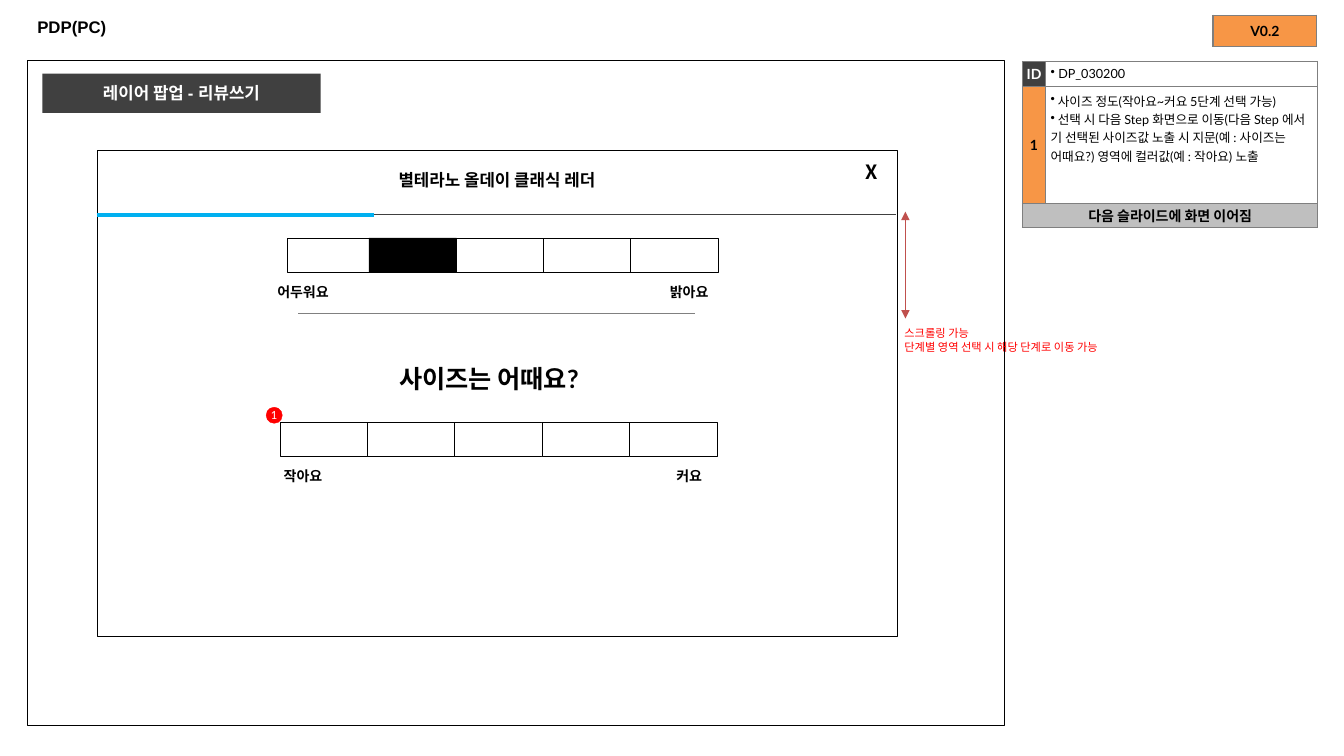
from lxml.etree import SubElement as Sub
from pptx import Presentation
from pptx.dml.color import RGBColor as RGB
from pptx.enum.shapes import MSO_CONNECTOR as Link, MSO_SHAPE as Kind
from pptx.enum.text import MSO_ANCHOR as Anchor, PP_ALIGN as Align
from pptx.oxml.ns import qn
from pptx.util import Inches, Pt

INK = {"black": "000000", "white": "FFFFFF", "dark": "404040", "gray": "808080",
       "edge": "7F7F7F", "foot": "BFBFBF", "orange": "F79646", "red": "FF0000",
       "blue": "00B0F0", "brick": "C0504D"}
KOREAN = "Noto Sans CJK KR"


def tint(name):
    """Return the named colour."""
    return RGB.from_string(INK[name])


def write(frame, *lines, size=10, face="Lato", ink="black", bold=True,
          align=Align.CENTER, bullet=False):
    """Fill a text frame with formatted paragraphs."""
    for i, line in enumerate(lines):
        para = frame.paragraphs[0] if i == 0 else frame.add_paragraph()
        para.alignment = align
        if bullet:
            props = para._p.get_or_add_pPr()
            props.set("marL", "0")
            props.set("indent", "0")
            Sub(props, qn("a:buChar"), char="•")
        run = para.add_run()
        run.text = line
        font = run.font
        font.size, font.bold, font.name = Pt(size), bold, face
        font.color.rgb = tint(ink)
        Sub(run._r.get_or_add_rPr(), qn("a:ea"), typeface=KOREAN)


def frame_up(frame, pad=None, anchor=Anchor.TOP, wrap=True):
    """Set the wrap, anchor and insets of a text frame."""
    frame.word_wrap = wrap
    frame.vertical_anchor = anchor
    if pad is not None:
        frame.margin_left = frame.margin_right = Inches(pad)
        frame.margin_top = frame.margin_bottom = Inches(pad)
    return frame


def box(slide, x, y, w, h, fill=None, line="black", width=0.25, kind=Kind.RECTANGLE):
    """Draw a shape and return its text frame."""
    shape = slide.shapes.add_shape(kind, Inches(x), Inches(y), Inches(w), Inches(h))
    shape.shadow.inherit = False
    if fill:
        shape.fill.solid()
        shape.fill.fore_color.rgb = tint(fill)
    else:
        shape.fill.background()
    if line:
        shape.line.color.rgb = tint(line)
        shape.line.width = Pt(width)
    else:
        shape.line.fill.background()
    return frame_up(shape.text_frame, 0, Anchor.MIDDLE)


def label(slide, x, y, w, h, *lines, pad=None, anchor=Anchor.TOP, wrap=True, **style):
    """Add a text box."""
    area = slide.shapes.add_textbox(Inches(x), Inches(y), Inches(w), Inches(h))
    write(frame_up(area.text_frame, pad, anchor, wrap), *lines, **style)


def rule(slide, x1, y1, x2, y2, ink, width, heads=False):
    """Draw a straight line, with arrowheads if asked."""
    link = slide.shapes.add_connector(
        Link.STRAIGHT, Inches(x1), Inches(y1), Inches(x2), Inches(y2))
    link.line.color.rgb = tint(ink)
    link.line.width = Pt(width)
    Sub(link._element.spPr, qn("a:effectLst"))
    if heads:
        for end in ("a:headEnd", "a:tailEnd"):
            Sub(link.line._get_or_add_ln(), qn(end), type="triangle")


def scale(slide, x, y, fills):
    """Draw a row of answer cells."""
    for i, fill in enumerate(fills):
        box(slide, x + i * 0.865, y, 0.87, 0.34, fill)


def grid(slide, x, y, cols, rows):
    """Add a plain table with the given column widths and row heights."""
    table = slide.shapes.add_table(
        len(rows), len(cols), Inches(x), Inches(y),
        Inches(sum(cols)), Inches(sum(rows))).table
    table.first_row = table.horz_banding = False
    for col, w in zip(table.columns, cols):
        col.width = Inches(w)
    for row, h in zip(table.rows, rows):
        row.height = Inches(h)
    for cell in table.iter_cells():
        props = cell._tc.get_or_add_tcPr()
        for side in "LRTB":
            line = Sub(props, qn(f"a:ln{side}"), w=str(Pt(1)))
            paint = Sub(line, qn("a:solidFill"))
            Sub(paint, qn("a:srgbClr"), val=INK["edge"])
        cell.fill.background()
    return table


def fill_cell(cell, *lines, fill=None, pad=0, anchor=Anchor.MIDDLE, **style):
    """Write and colour one table cell."""
    cell.margin_left = cell.margin_right = Inches(pad)
    cell.margin_top = cell.margin_bottom = Inches(pad)
    cell.vertical_anchor = anchor
    if fill:
        cell.fill.solid()
        cell.fill.fore_color.rgb = tint(fill)
    write(cell.text_frame, *lines, **style)


def notes(slide):
    """Add the description table and the version tag."""
    table = grid(slide, 10.14, 0.61, [0.23, 2.7], [0.25, 1.16, 0.24])
    body = dict(pad=0.05, anchor=Anchor.TOP, size=9, bold=False,
                align=Align.LEFT, bullet=True)
    fill_cell(table.cell(0, 0), "ID", fill="dark", ink="white")
    fill_cell(table.cell(0, 1), " DP_030200", **body)
    fill_cell(table.cell(1, 0), "1", fill="orange")
    fill_cell(table.cell(1, 1), " 사이즈 정도(작아요~커요 5단계 선택 가능)",
              " 선택 시 다음 Step 화면으로 이동(다음 Step 에서 기 선택된 사이즈값 노출 시 "
              "지문(예 : 사이즈는 어때요?) 영역에 컬러값(예 : 작아요) 노출", **body)
    table.cell(2, 0).merge(table.cell(2, 1))
    fill_cell(table.cell(2, 0), "다음 슬라이드에 화면 이어짐", fill="foot")
    tag = grid(slide, 12.03, 0.15, [1.03], [0.31])
    fill_cell(tag.cell(0, 0), "V0.2", fill="orange")


def popup(slide):
    """Draw the review pop-up inside the page frame."""
    box(slide, 0.27, 0.6, 9.69, 6.6, width=0.75)
    panel = box(slide, 0.96, 1.49, 7.94, 4.82)
    panel.vertical_anchor = Anchor.TOP
    panel.margin_top = Inches(0.19)
    write(panel, "별테라노 올데이 클래식 레더", size=12)
    label(slide, 8.49, 1.54, 0.32, 0.34, "X", wrap=False, size=14,
          face=KOREAN, align=Align.LEFT)
    rule(slide, 0.96, 2.13, 8.89, 2.13, "dark", 0.75)
    rule(slide, 0.96, 2.13, 3.71, 2.13, "blue", 3)
    rule(slide, 2.96, 3.11, 6.89, 3.11, "gray", 0.75)
    label(slide, 1.6, 3.56, 6.5, 0.5, "사이즈는 어때요?", size=18)
    box(slide, 2.85, 2.36, 0.82, 0.34)
    scale(slide, 3.66, 2.36, ["black"] + ["white"] * 3)
    scale(slide, 2.78, 4.19, ["white"] * 5)
    for y, low, high in ((2.76, "어두워요", "밝아요"), (4.59, "작아요", "커요")):
        label(slide, 2.34, y, 1.33, 0.34, low)
        label(slide, 6.17, y, 1.33, 0.34, high)
    mark = box(slide, 2.64, 4.04, 0.16, 0.16, "red", "red", kind=Kind.OVAL)
    mark.word_wrap = False
    write(mark, "1", size=8, ink="white", bold=False)
    head = box(slide, 0.42, 0.73, 2.76, 0.39, "dark", None)
    write(head, "레이어 팝업 - 리뷰쓰기", size=12, face="Arial", ink="white")
    rule(slide, 8.98, 3.16, 8.98, 2.1, "brick", 0.25, heads=True)
    label(slide, 8.93, 3.2, 2.22, 0.35, "스크롤링 가능",
          "단계별 영역 선택 시 해당 단계로 이동 가능", pad=0.04, anchor=Anchor.MIDDLE,
          wrap=False, size=8, ink="red", bold=False, align=Align.LEFT)


def main():
    """Build and save the slide."""
    deck = Presentation()
    deck.slide_width, deck.slide_height = Inches(13.33), Inches(7.5)
    slide = deck.slides.add_slide(deck.slide_layouts[5])
    title = slide.shapes.title
    title.left, title.top = Inches(0.27), Inches(0.07)
    title.width, title.height = Inches(12.79), Inches(0.39)
    write(frame_up(title.text_frame, anchor=Anchor.MIDDLE), "PDP(PC)",
          size=12, face="Arial", align=Align.LEFT)
    notes(slide)
    popup(slide)
    deck.save("out.pptx")


if __name__ == "__main__":
    main()
